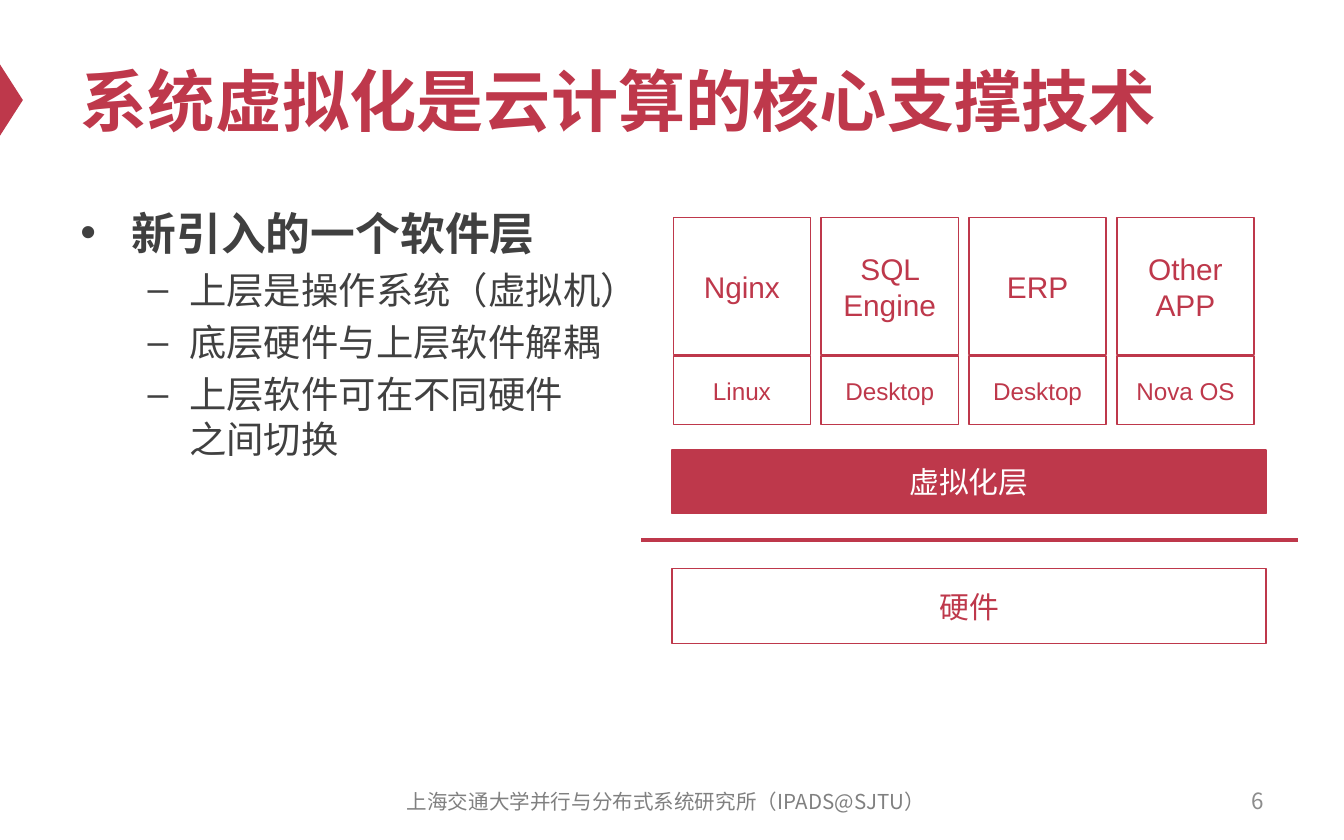
from pptx import Presentation
from pptx.util import Inches, Pt
from pptx.dml.color import RGBColor
from pptx.enum import shapes, text
from lxml import etree

HUE = {"red": "BE384B", "dark": "404040", "gray": "808080", "pale": "8C8C8C", "white": "FFFFFF"}
SANS, CJK = "Arial", "Noto Sans CJK SC"
NS = "http://schemas.openxmlformats.org/drawingml/2006/main"
MID, LEFT, RIGHT = text.PP_ALIGN.CENTER, text.PP_ALIGN.LEFT, text.PP_ALIGN.RIGHT

TITLE = "系统虚拟化是云计算的核心支撑技术"
POINTS = [
    (0, "新引入的一个软件层"),
    (1, "上层是操作系统（虚拟机）"),
    (1, "底层硬件与上层软件解耦"),
    (1, "上层软件可在不同硬件\v之间切换"),
]
LEVELS = [
    {"mark": "•", "left": 0.38, "hang": 0.38, "size": 24, "bold": True, "gap": 0},
    {"mark": "–", "left": 0.81, "hang": 0.31, "size": 20, "bold": False, "gap": 4},
]
STACKS = [("Nginx", "Linux"), ("SQL Engine", "Desktop"), ("ERP", "Desktop"), ("Other\nAPP", "Nova OS")]
BARS = [("虚拟化层", 3.35, 0.47, "red", "white"), ("硬件", 4.23, 0.56, "white", "red")]
NOTES = [
    ("6", (7.17, 5.79, 2.33, 0.33), 12, "pale", RIGHT),
    ("上海交通大学并行与分布式系统研究所（IPADS@SJTU）", (2.79, 5.8, 4.33, 0.33), 11, "gray", MID),
]
SIDE, STEP, START = 1.02, 1.1, 5.01


def rgb(name):
    return RGBColor.from_string(HUE[name])


def style(para, size, hue, align, face=SANS, bold=False):
    para.alignment = align
    for run in para.runs:
        font = run.font
        font.size, font.bold, font.name = Pt(size), bold, face
        font.color.rgb = rgb(hue)


def write(shape, words, size, hue, align, face=SANS, bold=False):
    frame = shape.text_frame
    frame.word_wrap = True
    frame.vertical_anchor = text.MSO_ANCHOR.MIDDLE
    frame.text = words
    for para in frame.paragraphs:
        style(para, size, hue, align, face, bold)


def draw(kind, box, fill, edge=None):
    shape = slide.shapes.add_shape(kind, *map(Inches, box))
    shape.shadow.inherit = False
    shape.fill.solid()
    shape.fill.fore_color.rgb = rgb(fill)
    if edge:
        shape.line.color.rgb = rgb(edge)
        shape.line.width = Pt(0.75)
    else:
        shape.line.fill.background()
    return shape


def block(words, box, size, fill="white", ink="red"):
    write(draw(shapes.MSO_SHAPE.RECTANGLE, box, fill, "red"), words, size, ink, MID)


def bullet(para, look):
    props = para._p.get_or_add_pPr()
    props.set("marL", str(Inches(look["left"])))
    props.set("indent", str(-Inches(look["hang"])))
    etree.SubElement(props, f"{{{NS}}}buFont").set("typeface", SANS)
    etree.SubElement(props, f"{{{NS}}}buChar").set("char", look["mark"])


deck = Presentation()
deck.slide_width, deck.slide_height = Inches(10), Inches(6.25)
slide = deck.slides.add_slide(deck.slide_layouts[5])

title = slide.shapes.title
title.left, title.top, title.width, title.height = map(Inches, (0.5, 0.25, 9, 0.98))
write(title, TITLE, 36, "red", LEFT, bold=True)

arrow = draw(shapes.MSO_SHAPE.ISOSCELES_TRIANGLE, (-0.18, 0.66, 0.53, 0.17), "red")
arrow.rotation = 90

body = slide.shapes.add_textbox(*map(Inches, (0.5, 1.48, 9, 4.1))).text_frame
body.word_wrap = True
for i, (level, words) in enumerate(POINTS):
    look = LEVELS[level]
    para = body.paragraphs[0] if i == 0 else body.add_paragraph()
    para.text = words
    para.level = level
    para.space_before = Pt(look["gap"])
    bullet(para, look)
    style(para, look["size"], "dark", LEFT, bold=look["bold"])

for words, box, size, hue, align in NOTES:
    write(slide.shapes.add_textbox(*map(Inches, box)), words, size, hue, align, CJK)

for words, top, high, fill, ink in BARS:
    block(words, (5, top, 4.42, high), 16, fill, ink)

for i, (app, system) in enumerate(STACKS):
    left = START + i * STEP
    block(system, (left, 2.65, SIDE, SIDE / 2), 13)
    block(app, (left, 1.62, SIDE, SIDE), 16)

rule = slide.shapes.add_connector(shapes.MSO_CONNECTOR.STRAIGHT, *map(Inches, (4.77, 4.02, 9.66, 4.02)))
rule.line.color.rgb = rgb("red")
rule.line.width = Pt(2)
etree.SubElement(rule._element.spPr, f"{{{NS}}}effectLst")

deck.save("out.pptx")
